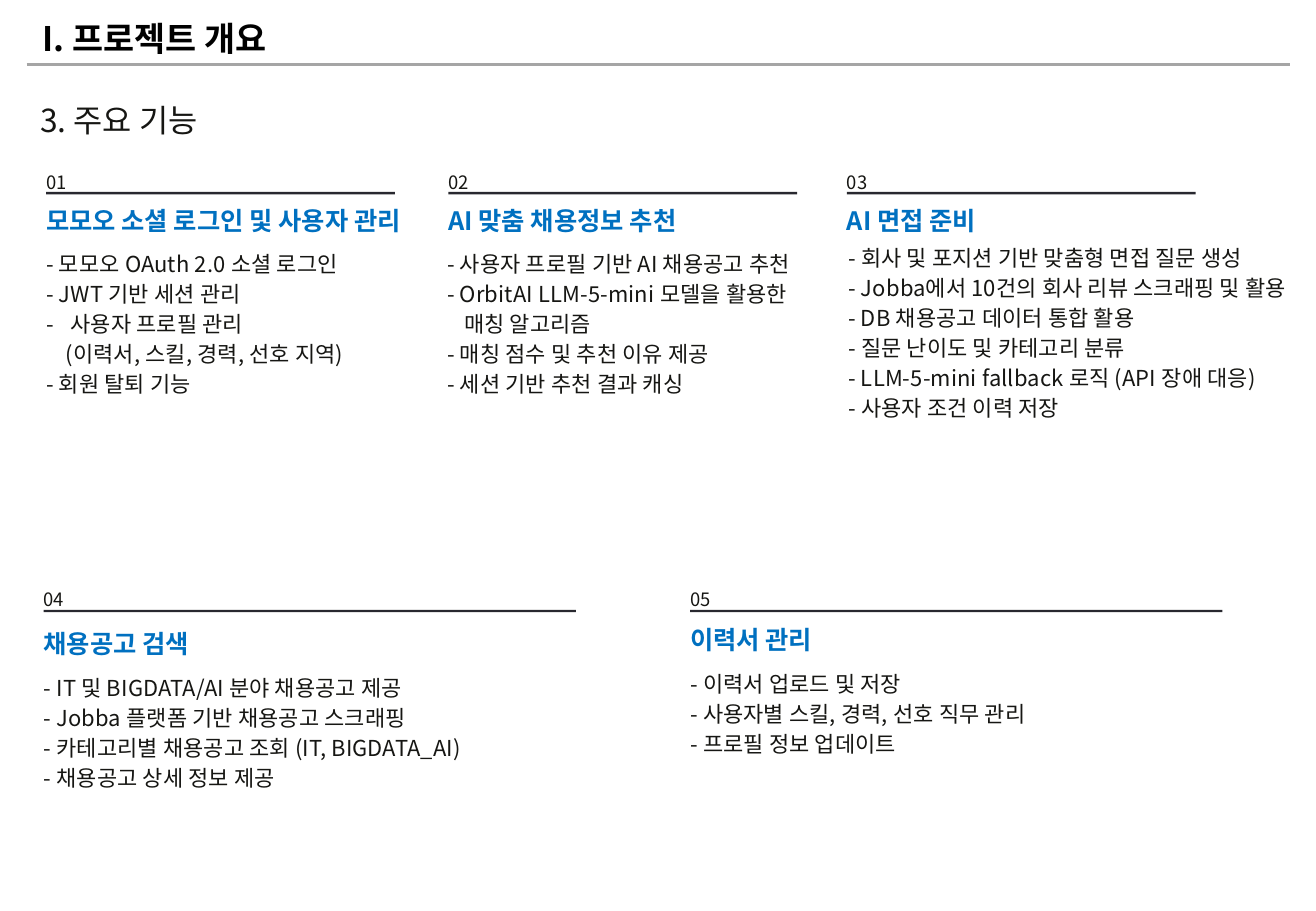
from dataclasses import dataclass
from typing import Optional

from lxml.etree import SubElement
from pptx import Presentation
from pptx.dml.color import RGBColor
from pptx.enum.shapes import MSO_CONNECTOR as Conn, MSO_SHAPE as Shape
from pptx.enum.text import MSO_ANCHOR as Anchor, MSO_AUTO_SIZE as AutoSize, PP_ALIGN as Align
from pptx.oxml.ns import qn
from pptx.util import Emu, Pt

FONT = "Noto Sans CJK KR"
INK, BLUE, RULE, GRAY, BLACK = "161613", "0070C0", "28282F", "A5A5A5", "000000"


@dataclass
class Line:
    text: str
    indent: int = 0
    bullet: str = ""


@dataclass
class Style:
    size: float
    color: str = INK
    bold: bool = False
    spacing: Optional[float] = None
    tracking: int = 0


@dataclass
class Feature:
    number: str
    heading: str
    lines: list[Line]
    x: int
    y: int
    rule_w: int
    heading_dy: int
    body_x: int
    body_dy: int
    body_w: int


TITLE = Style(20, BLACK, True)
SUBTITLE = Style(18.8, spacing=34.7)
NUMBER = Style(10.9, spacing=17.8)
HEADING = Style(15, BLUE, True, 17.2)
BODY = Style(13, spacing=17.8, tracking=10)

FEATURES = [
    Feature("01", "모모오 소셜 로그인 및 사용자 관리", [
        Line("- 모모오 OAuth 2.0 소셜 로그인"),
        Line("- JWT 기반 세션 관리"),
        Line("사용자 프로필 관리", 20, "-"),
        Line("(이력서, 스킬, 경력, 선호 지역)", 16),
        Line("- 회원 탈퇴 기능"),
    ], 38, 134, 287, 36, 38, 69, 287),
    Feature("02", "AI 맞춤 채용정보 추천", [
        Line("- 사용자 프로필 기반 AI 채용공고 추천"),
        Line("- OrbitAI LLM-5-mini 모델을 활용한"),
        Line("매칭 알고리즘", 14),
        Line("- 매칭 점수 및 추천 이유 제공"),
        Line("- 세션 기반 추천 결과 캐싱"),
    ], 369, 134, 287, 36, 368, 69, 320),
    Feature("03", "AI 면접 준비", [
        Line("- 회사 및 포지션 기반 맞춤형 면접 질문 생성"),
        Line("- Jobba에서 10건의 회사 리뷰 스크래핑 및 활용"),
        Line("- DB 채용공고 데이터 통합 활용"),
        Line("- 질문 난이도 및 카테고리 분류"),
        Line("- LLM-5-mini fallback 로직 (API 장애 대응)"),
        Line("- 사용자 조건 이력 저장"),
    ], 697, 134, 287, 36, 698, 64, 385),
    Feature("04", "채용공고 검색", [
        Line("- IT 및 BIGDATA/AI 분야 채용공고 제공"),
        Line("- Jobba 플랫폼 기반 채용공고 스크래핑"),
        Line("- 카테고리별 채용공고 조회 (IT, BIGDATA_AI)"),
        Line("- 채용공고 상세 정보 제공"),
    ], 36, 478, 438, 40, 36, 74, 438),
    Feature("05", "이력서 관리", [
        Line("- 이력서 업로드 및 저장"),
        Line("- 사용자별 스킬, 경력, 선호 직무 관리"),
        Line("- 프로필 정보 업데이트"),
    ], 568, 478, 438, 37, 568, 71, 287),
]


def px(n: int) -> Emu:
    return Emu(n * 9144)


def rgb(value: str) -> RGBColor:
    return RGBColor.from_string(value)


def write(tf, lines: list[Line], style: Style) -> None:
    for i, line in enumerate(lines):
        p = tf.paragraphs[0] if i == 0 else tf.add_paragraph()
        p.alignment = Align.LEFT
        if style.spacing:
            p.line_spacing = Pt(style.spacing)
        if line.indent:
            pPr = p._p.get_or_add_pPr()
            pPr.set("marL", str(px(line.indent)))
            pPr.set("indent", str(px(-line.indent if line.bullet else 0)))
            if line.bullet:
                SubElement(pPr, qn("a:buFont")).set("typeface", FONT)
                SubElement(pPr, qn("a:buChar")).set("char", line.bullet)
        r = p.add_run()
        r.text = line.text
        r.font.size = Pt(style.size)
        r.font.bold = style.bold
        r.font.color.rgb = rgb(style.color)
        r.font.name = FONT
        rPr = r._r.get_or_add_rPr()
        SubElement(rPr, qn("a:ea")).set("typeface", FONT)
        if style.tracking:
            rPr.set("spc", str(style.tracking))


def add_text(slide, x: int, y: int, w: int, h: int, lines: list[Line], style: Style) -> None:
    tf = slide.shapes.add_textbox(px(x), px(y), px(w), px(h)).text_frame
    tf.margin_left = tf.margin_top = tf.margin_right = tf.margin_bottom = 0
    tf.word_wrap = True
    write(tf, lines, style)


def add_title(slide, text: str) -> None:
    sp = slide.shapes.title
    sp.left, sp.top, sp.width, sp.height = px(25), px(10), px(845), px(44)
    tf = sp.text_frame
    tf.word_wrap = True
    tf.auto_size = AutoSize.SHAPE_TO_FIT_TEXT
    tf.vertical_anchor = Anchor.TOP
    write(tf, [Line(text)], TITLE)


def add_title_rule(slide) -> None:
    line = slide.shapes.add_connector(Conn.STRAIGHT, px(22), px(53), px(1062), px(53))
    line.line.color.rgb = rgb(GRAY)
    line.line.width = Pt(1.5)
    SubElement(line._element.spPr, qn("a:effectLst"))


def add_feature(slide, f: Feature) -> None:
    add_text(slide, f.x, f.y, 40, 24, [Line(f.number)], NUMBER)
    sp = slide.shapes.add_shape(Shape.RECTANGLE, px(f.x), px(f.y + 24), px(f.rule_w), px(2))
    sp.shadow.inherit = False
    sp.fill.solid()
    sp.fill.fore_color.rgb = rgb(RULE)
    sp.line.fill.background()
    add_text(slide, f.x, f.y + f.heading_dy, 320, 24, [Line(f.heading)], HEADING)
    add_text(slide, f.body_x, f.y + f.body_dy, f.body_w, 25 * len(f.lines), f.lines, BODY)


def main() -> None:
    prs = Presentation()
    prs.slide_width, prs.slide_height = px(1083), px(750)
    slide = prs.slides.add_slide(prs.slide_layouts[5])
    add_title_rule(slide)
    add_title(slide, "I. 프로젝트 개요")
    add_text(slide, 33, 66, 388, 48, [Line("3. 주요 기능")], SUBTITLE)
    for feature in FEATURES:
        add_feature(slide, feature)
    prs.save("out.pptx")


if __name__ == "__main__":
    main()
